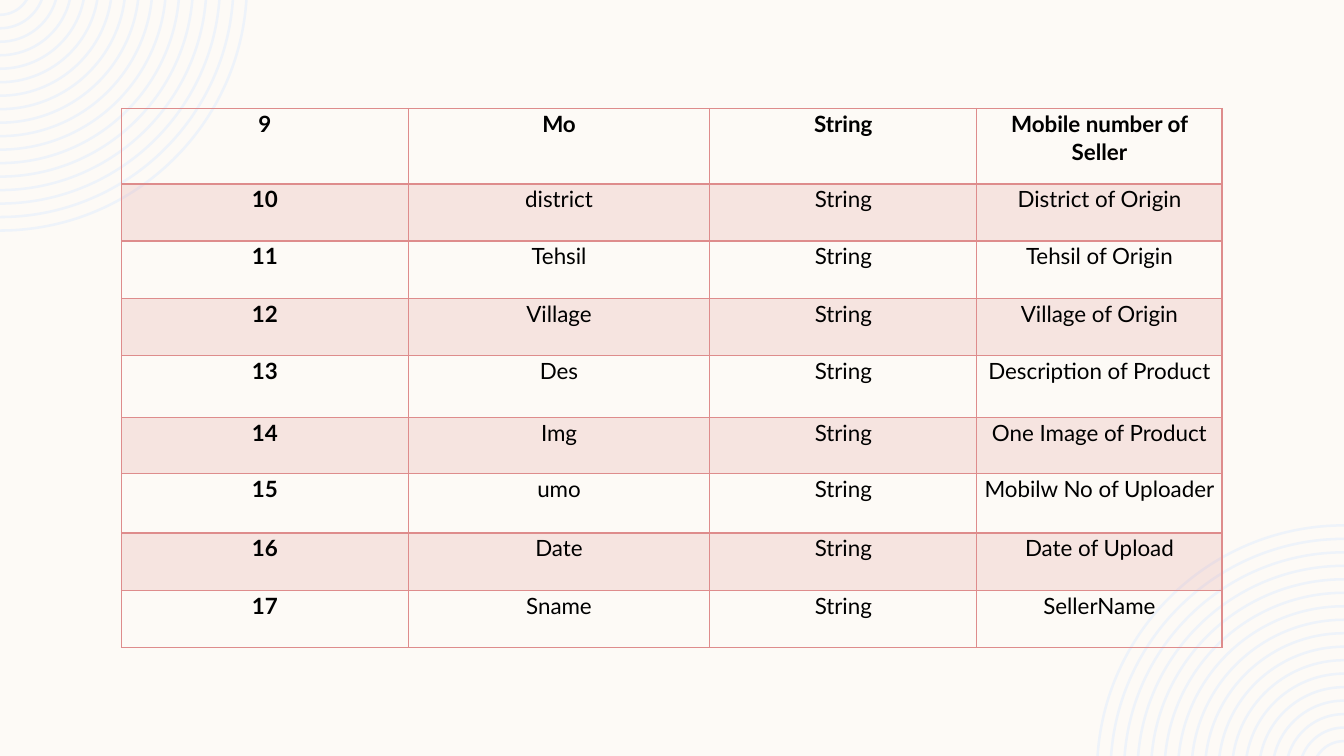
from dataclasses import dataclass
from math import asin, cos, pi, sin, tan

from lxml import etree
from pptx import Presentation
from pptx.dml.color import RGBColor
from pptx.enum import text
from pptx.oxml.ns import qn
from pptx.util import Pt


# Colours and type sizes
@dataclass(frozen=True)
class Theme:
    background: str = "FDFAF6"
    rings: str = "EEF3FA"
    accent: str = "DE8C8C"
    ink: str = "000000"
    font: str = "Lato"
    size: int = 16
    band_alpha: int = 20


THEME = Theme()
WIDTH, HEIGHT = 960, 540

# Table content and layout, in points
FIELDS = [
    ("9", "Mo", "String", "Mobile number of Seller"),
    ("10", "district", "String", "District of Origin"),
    ("11", "Tehsil", "String", "Tehsil of Origin"),
    ("12", "Village", "String", "Village of Origin"),
    ("13", "Des", "String", "Description of Product"),
    ("14", "Img", "String", "One Image of Product"),
    ("15", "umo", "String", "Mobilw No of Uploader"),
    ("16", "Date", "String", "Date of Upload"),
    ("17", "Sname", "String", "SellerName"),
]
COLUMNS = [204.8, 215.5, 190.7, 175.2]
ROWS = [54, 40.8, 40.8, 40.8, 44.6, 39.8, 42.6, 40.8, 40.8]
TABLE_LEFT, TABLE_TOP = 86.8, 77.4

# Corner rings, in points
RING_COUNT, RING_STEP, RING_WIDTH = 17, 9.63, 1.8
OUTER_RADIUS, CENTRE_Y = 177.3, -11.7


def rgb(value):
    return RGBColor.from_string(value)


def arc_points(radius):
    """Bézier points of an arc from the top edge down to the left edge."""
    a = asin(-CENTRE_Y / radius)
    handle = radius * 4 / 3 * tan((pi / 2 - a) / 4)
    x, bottom = radius * cos(a), CENTRE_Y + radius
    return [(x, 0), (x - handle * sin(a), handle * cos(a)),
            (handle, bottom), (0, bottom)]


def curve_arcs(sp):
    """Turn each ring's two runs of three line segments into Bézier curves."""
    lines = list(sp._element.iter(qn("a:lnTo")))
    for i in range(0, len(lines), 7):
        for first in (i, i + 4):
            curve = etree.Element(qn("a:cubicBezTo"))
            lines[first].addprevious(curve)
            for line in lines[first:first + 3]:
                curve.append(line[0])
                line.getparent().remove(line)


def add_rings(slide, mirrored=False):
    """Draw concentric rings in the top left or, mirrored, bottom right corner."""
    builder = None
    for i in range(RING_COUNT):
        outer = OUTER_RADIUS - i * RING_STEP
        points = arc_points(outer) + arc_points(outer - RING_WIDTH)[::-1]
        if mirrored:
            points = [(WIDTH - x, HEIGHT - y) for x, y in points]
        points = [(Pt(x), Pt(y)) for x, y in points]
        if builder is None:
            builder = slide.shapes.build_freeform(*points[0])
        else:
            builder.move_to(*points[0])
        builder.add_line_segments(points[1:], close=True)
    sp = builder.convert_to_shape()
    curve_arcs(sp)
    sp.shadow.inherit = False
    sp.fill.solid()
    sp.fill.fore_color.rgb = rgb(THEME.rings)
    sp.line.fill.background()


def set_borders(cell, bottom):
    tc_pr = cell._tc.get_or_add_tcPr()
    for side, width in (("L", 1), ("R", 1), ("T", 1), ("B", bottom)):
        ln = etree.SubElement(tc_pr, qn(f"a:ln{side}"), w=str(Pt(width)))
        fill = etree.SubElement(ln, qn("a:solidFill"))
        etree.SubElement(fill, qn("a:srgbClr"), val=THEME.accent)


def set_fill(cell, banded):
    if not banded:
        cell.fill.background()
        return
    cell.fill.solid()
    cell.fill.fore_color.rgb = rgb(THEME.accent)
    color = cell._tc.tcPr.find(qn("a:solidFill")).find(qn("a:srgbClr"))
    etree.SubElement(color, qn("a:alpha"), val=str(THEME.band_alpha * 1000))


def set_text(cell, words, bold):
    cell.margin_left = cell.margin_right = Pt(4.8)
    cell.margin_top = cell.margin_bottom = 0
    p = cell.text_frame.paragraphs[0]
    p.text = words
    p.alignment = text.PP_ALIGN.CENTER
    p.line_spacing = 1.07
    p.space_after = Pt(8)
    font = p.runs[0].font
    font.name, font.size, font.bold = THEME.font, Pt(THEME.size), bold
    font.color.rgb = rgb(THEME.ink)


def add_field_table(slide):
    frame = slide.shapes.add_table(
        len(ROWS), len(COLUMNS), Pt(TABLE_LEFT), Pt(TABLE_TOP),
        Pt(sum(COLUMNS)), Pt(sum(ROWS)))
    table = frame.table
    table.horz_banding = False
    for column, width in zip(table.columns, COLUMNS):
        column.width = Pt(width)
    for row, height in zip(table.rows, ROWS):
        row.height = Pt(height)
    for r, field in enumerate(FIELDS):
        for c, words in enumerate(field):
            cell = table.cell(r, c)
            set_text(cell, words, bold=r == 0 or c == 0)
            set_borders(cell, bottom=2 if r == 0 else 1)
            set_fill(cell, banded=r % 2 == 1)


def main():
    prs = Presentation()
    prs.slide_width, prs.slide_height = Pt(WIDTH), Pt(HEIGHT)
    slide = prs.slides.add_slide(prs.slide_layouts[6])
    slide.background.fill.solid()
    slide.background.fill.fore_color.rgb = rgb(THEME.background)

    # Corner decoration behind the table
    add_rings(slide)
    add_rings(slide, mirrored=True)

    # Data fields
    add_field_table(slide)
    prs.save("out.pptx")


if __name__ == "__main__":
    main()
